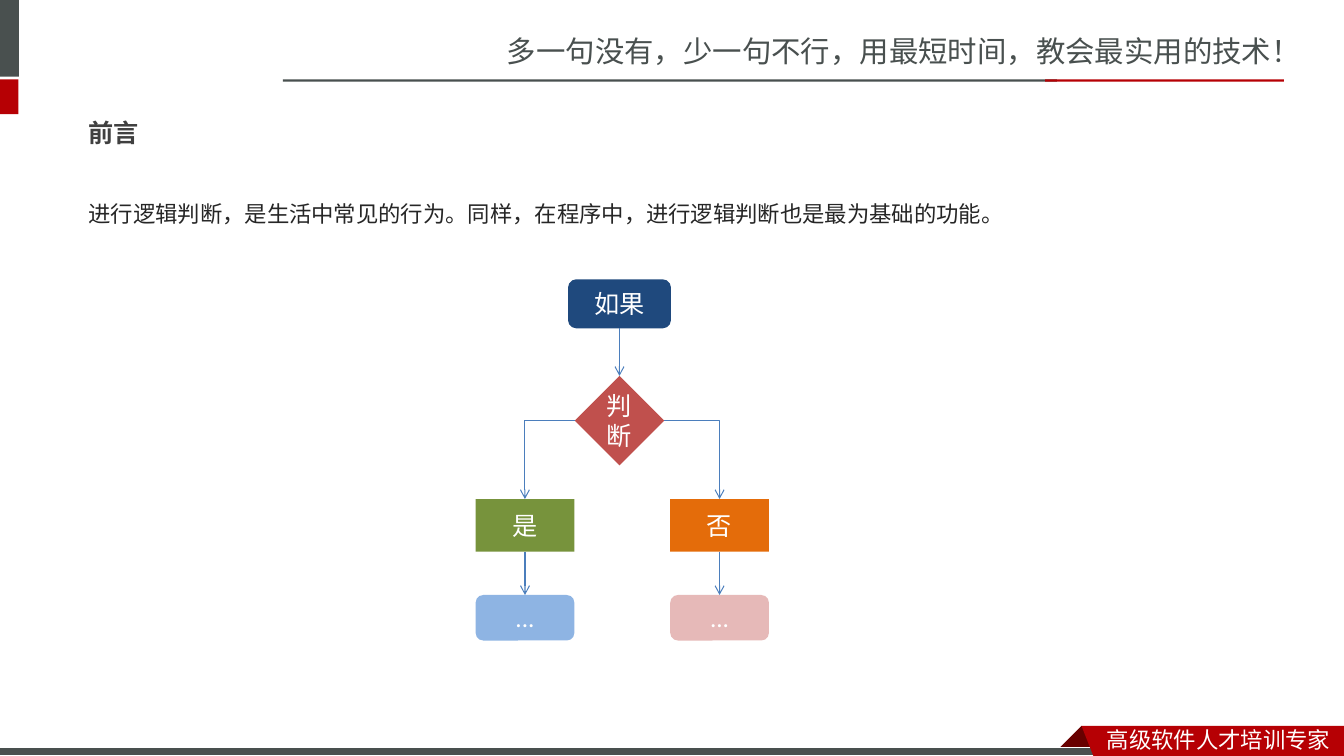
from pptx import Presentation
from pptx.dml.color import RGBColor
from pptx.enum.shapes import MSO_CONNECTOR as Connector, MSO_SHAPE as Shape
from pptx.enum.text import MSO_ANCHOR as Anchor, MSO_AUTO_SIZE as AutoSize, PP_ALIGN as Align
from pptx.oxml.ns import qn
from pptx.util import Pt
from lxml.etree import SubElement

WHITE = RGBColor(0xFF, 0xFF, 0xFF)
SLATE = RGBColor(0x49, 0x50, 0x4F)
RED = RGBColor(0xB6, 0x00, 0x04)
DARK_RED = RGBColor(0x68, 0x00, 0x00)
TITLE_GREY = RGBColor(0x40, 0x40, 0x40)
BODY_GREY = RGBColor(0x26, 0x26, 0x26)
NAVY = RGBColor(0x1F, 0x49, 0x7D)
BRICK = RGBColor(0xC0, 0x50, 0x4D)
GREEN = RGBColor(0x77, 0x93, 0x3C)
ORANGE = RGBColor(0xE4, 0x6C, 0x0A)
SKY = RGBColor(0x8E, 0xB4, 0xE3)
PINK = RGBColor(0xE6, 0xB9, 0xB8)
ARROW_BLUE = RGBColor(0x4B, 0x7E, 0xBC)
CJK_SC = "Noto Sans CJK SC"
CJK_JP = "Noto Sans CJK JP"


def write(shape, text, size, latin, east_asian, color, align=Align.LEFT, bold=False):
    """Put one formatted paragraph into a shape and return the paragraph."""
    frame = shape.text_frame
    frame.text = text
    frame.word_wrap = True
    paragraph = frame.paragraphs[0]
    paragraph.alignment = align
    font = paragraph.runs[0].font
    font.size, font.name, font.bold = Pt(size), latin, bold
    font.color.rgb = color
    properties = paragraph.runs[0]._r.get_or_add_rPr()
    SubElement(properties, qn("a:ea")).set("typeface", east_asian)
    return paragraph


def paint(shape, fill, line=None):
    """Give a shape a flat fill, an optional thin outline and no shadow."""
    shape.shadow.inherit = False
    shape.fill.solid()
    shape.fill.fore_color.rgb = fill
    if line is None:
        shape.line.fill.background()
    else:
        shape.line.color.rgb = line
        shape.line.width = Pt(0.75)


def add_block(slide, kind, left, top, width, height, fill, line=None):
    """Add a painted preset shape."""
    shape = slide.shapes.add_shape(kind, Pt(left), Pt(top), Pt(width), Pt(height))
    paint(shape, fill, line)
    return shape


def add_polygon(slide, points, fill):
    """Add a painted closed outline."""
    start, *others = [(Pt(x), Pt(y)) for x, y in points]
    builder = slide.shapes.build_freeform(*start, scale=1.0)
    builder.add_line_segments(others, close=True)
    paint(builder.convert_to_shape(), fill)


def add_label(slide, left, top, width, height, text, size, color):
    """Add a text box with one line of text."""
    box = slide.shapes.add_textbox(Pt(left), Pt(top), Pt(width), Pt(height))
    write(box, text, size, CJK_SC, CJK_SC, color)


def add_header(slide, left, top, width):
    """Draw the corner marks, the slogan and the two-tone rule below it."""
    rule_top = top + 56.75
    add_label(slide, left + 355, top + 20, width - 355, 34,
              "多一句没有，少一句不行，用最短时间，教会最实用的技术！", 21, SLATE)
    add_block(slide, Shape.RECTANGLE, left, top, 13.5, 54.75, SLATE)
    add_block(slide, Shape.RECTANGLE, left, rule_top, 13.25, 24.75, RED)
    add_block(slide, Shape.RECTANGLE, left + 202, rule_top, 553, 1.5, SLATE)
    add_block(slide, Shape.RECTANGLE, left + 746.5, rule_top, 170.5, 1.5, RED)


def add_footer(slide, left, top, width, height):
    """Draw the bottom bar and the folded ribbon with its label."""
    right, bottom, ribbon = left + width, top + height, left + 772.5
    add_polygon(slide, [(ribbon, top), (ribbon + 16, top + 16), (ribbon + 15, top + 17),
                        (ribbon - 15, top + 17), (ribbon - 16, top + 16)], DARK_RED)
    add_block(slide, Shape.RECTANGLE, left, bottom - 6.25, 791.5, 6.25, SLATE, WHITE)
    add_polygon(slide, [(ribbon, top), (right, top), (right, bottom),
                        (ribbon + 8.5, bottom)], RED)
    add_label(slide, ribbon + 11, top - 3.5, right - ribbon - 11, 25,
              "高级软件人才培训专家", 16, WHITE)


def place(placeholder, left, top, width, height, anchor):
    """Move a placeholder and fix its text position."""
    placeholder.left, placeholder.top = Pt(left), Pt(top)
    placeholder.width, placeholder.height = Pt(width), Pt(height)
    placeholder.text_frame.vertical_anchor = anchor
    placeholder.text_frame.auto_size = AutoSize.NONE


def add_content(slide, left, top, width, height):
    """Fill the title and body placeholders."""
    title, body = slide.shapes.title, slide.placeholders[1]
    place(title, left, top, width, 41, Anchor.MIDDLE)
    write(title, "前言", 18, CJK_JP, CJK_JP, TITLE_GREY, bold=True)
    place(body, left, top + 55.5, width, height - 55.5, Anchor.TOP)
    paragraph = write(
        body, "进行逻辑判断，是生活中常见的行为。同样，在程序中，进行逻辑判断也是最为基础的功能。",
        16, "Lato", CJK_SC, BODY_GREY)
    properties = paragraph._p.get_or_add_pPr()
    properties.set("marL", "0")
    properties.set("indent", "0")
    SubElement(properties, qn("a:buNone"))
    paragraph.space_before = Pt(0)
    paragraph.line_spacing = 1.5


def add_step(slide, kind, center, top, width, height, fill, text):
    """Add a flowchart step centred on a vertical axis."""
    step = add_block(slide, kind, center - width / 2, top, width, height, fill)
    step.text_frame.vertical_anchor = Anchor.MIDDLE
    write(step, text, 18, "Calibri", CJK_SC, WHITE, Align.CENTER)
    return step


def add_arrow(slide, source, side, target):
    """Join a side of one step to the top of another, with one bend from a flank."""
    bent = side in (1, 3)
    kind = Connector.ELBOW if bent else Connector.STRAIGHT
    arrow = slide.shapes.add_connector(kind, 0, 0, 0, 0)
    arrow.begin_connect(source, side)
    arrow.end_connect(target, 0)
    arrow.line.color.rgb = ARROW_BLUE
    arrow.line.width = Pt(0.75)
    properties = arrow._element.spPr
    if bent:
        properties.find(qn("a:prstGeom")).set("prst", "bentConnector2")
    SubElement(properties.find(qn("a:ln")), qn("a:tailEnd")).set("type", "arrow")
    SubElement(properties, qn("a:effectLst"))


def add_flowchart(slide, left, top):
    """Draw the decision flowchart."""
    center = left + 102.5
    start = add_step(slide, Shape.ROUNDED_RECTANGLE, center, top, 73.5, 35, NAVY, "如果")
    decision = add_step(slide, Shape.DIAMOND, center, top + 69, 64, 64, BRICK, "判断")
    add_arrow(slide, start, 2, decision)
    branches = [(1, left + 35, "是", GREEN, SKY), (3, left + 174, "否", ORANGE, PINK)]
    for side, axis, answer, answer_fill, end_fill in branches:
        branch = add_step(slide, Shape.RECTANGLE, axis, top + 157, 70.5, 37.5,
                          answer_fill, answer)
        end = add_step(slide, Shape.ROUNDED_RECTANGLE, axis, top + 225.5, 70.5, 32.5,
                       end_fill, "...")
        add_arrow(slide, decision, side, branch)
        add_arrow(slide, branch, 2, end)


def main():
    """Build and save the slide."""
    presentation = Presentation()
    presentation.slide_width, presentation.slide_height = Pt(960), Pt(540)
    slide = presentation.slides.add_slide(presentation.slide_layouts[1])
    add_header(slide, 0, 0, 960)
    add_footer(slide, 0, 518.5, 960, 21.5)
    add_content(slide, 56, 74, 846, 387.5)
    add_flowchart(slide, 340, 199.5)
    presentation.save("out.pptx")


if __name__ == "__main__":
    main()
